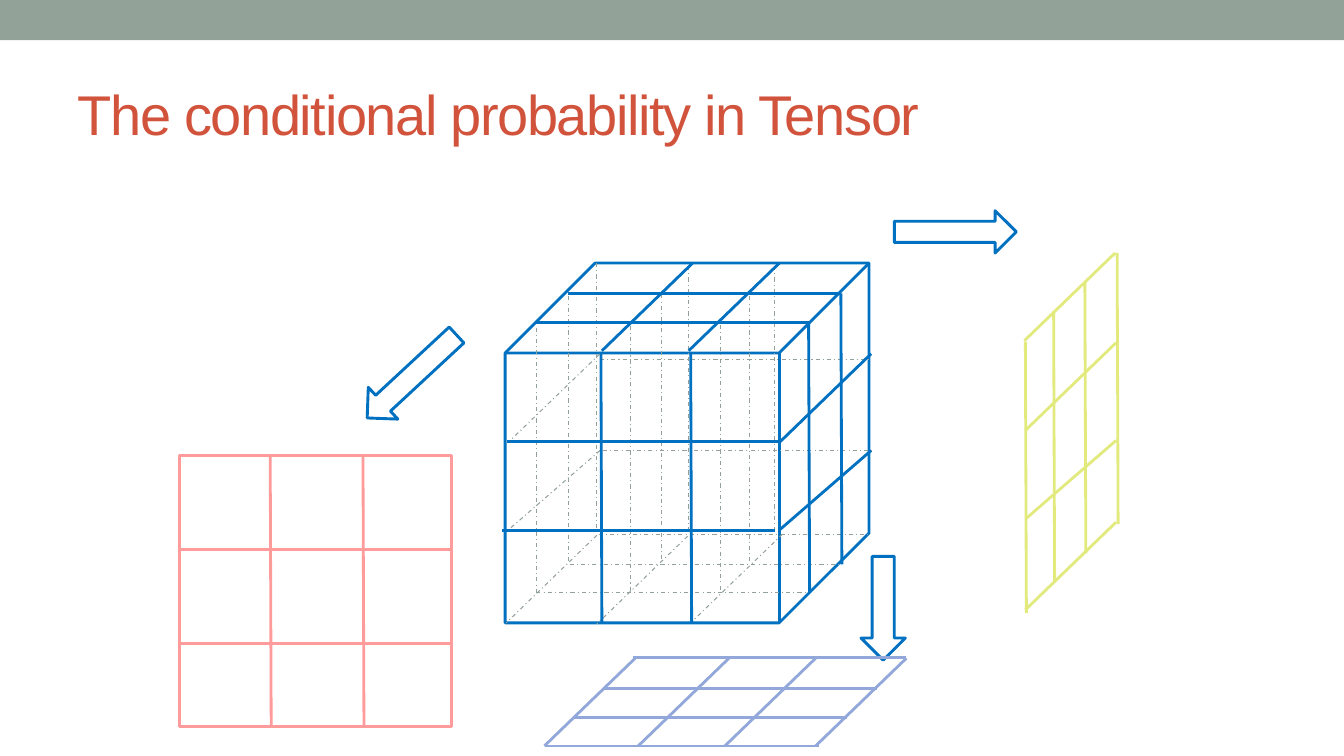
from dataclasses import dataclass

import pptx
import pptx.dml.color
import pptx.enum.dml
import pptx.enum.shapes
import pptx.enum.text
import pptx.oxml.ns
import pptx.util
from lxml import etree

Inches = pptx.util.Inches
Pt = pptx.util.Pt
SHAPE = pptx.enum.shapes.MSO_SHAPE

BLUE, GREY, PINK = "0070C0", "93A299", "FF9B9B"
YELLOW, LAVENDER, RED = "E2EA7E", "92A8DA", "D2533C"

# Run vectors shared by the edges of the cube and its projections
ACROSS = (2.71, 0)
DOWN = (0.01, 2.69)
SLANT = (-0.9, 0.87)
FLAT_SLANT = (-0.9, 0.78)
HIDDEN_ACROSS = (2.67, 0)
HIDDEN_DOWN = (0, 2.66)


@dataclass
class Outline:
    kind: int
    left: float
    top: float
    width: float
    height: float
    color: str
    weight: float = 2.08
    rotation: float = 0


@dataclass
class ParallelLines:
    color: str
    run: tuple[float, float]
    starts: list[tuple[float, float]]
    hidden: bool = False


OUTLINES = [
    Outline(SHAPE.CUBE, 5.01, 2.61, 3.61, 3.57, BLUE, 2),
    Outline(SHAPE.RECTANGLE, 1.78, 4.52, 2.7, 2.69, PINK),
    Outline(SHAPE.DOWN_ARROW, 3.87, 3.13, 0.43, 1.21, BLUE, rotation=47.1),
    Outline(SHAPE.RIGHT_ARROW, 8.87, 2.09, 1.21, 0.42, BLUE),
    Outline(SHAPE.DOWN_ARROW, 8.54, 5.52, 0.44, 1.03, BLUE),
]

LINES = [
    # Hidden edges of the cube
    ParallelLines(GREY, HIDDEN_DOWN, [
        (5.92, 2.61), (6.83, 2.64), (7.68, 2.64),
        (5.64, 2.94), (6.56, 2.92), (7.43, 2.94),
        (5.32, 3.25), (6.25, 3.23), (7.15, 3.22)], True),
    ParallelLines(GREY, HIDDEN_ACROSS, [
        (5.95, 3.57), (5.98, 4.47), (5.94, 5.3), (5.65, 5.6), (5.32, 5.88)], True),
    ParallelLines(GREY, SLANT, [
        (5.95, 3.51), (5.92, 5.31), (6.82, 5.32), (7.76, 5.3)], True),
    ParallelLines(GREY, FLAT_SLANT, [(5.95, 4.47)], True),
    # Visible grid of the cube
    ParallelLines(BLUE, DOWN, [(5.96, 3.49), (6.85, 3.49), (8.02, 3.19), (8.34, 2.91)]),
    ParallelLines(BLUE, ACROSS, [(5.63, 2.91), (5.32, 3.2), (5.03, 4.38), (4.98, 5.26)]),
    ParallelLines(BLUE, SLANT, [(6.87, 2.61), (7.73, 2.61), (8.64, 3.51)]),
    ParallelLines(BLUE, FLAT_SLANT, [(8.64, 4.47)]),
    # Front projection
    ParallelLines(PINK, ACROSS, [(1.77, 5.45), (1.77, 6.38)]),
    ParallelLines(PINK, DOWN, [(2.68, 4.52), (3.6, 4.52)]),
    # Side projection
    ParallelLines(YELLOW, DOWN, [(10.17, 3.39), (10.45, 3.09), (10.76, 2.8), (11.08, 2.51)]),
    ParallelLines(YELLOW, SLANT, [(11.06, 2.51), (11.07, 3.4), (11.07, 5.18)]),
    ParallelLines(YELLOW, FLAT_SLANT, [(11.07, 4.37)]),
    # Bottom projection
    ParallelLines(LAVENDER, SLANT, [(x, 6.53) for x in (6.3, 7.23, 8.09, 8.99)]),
    ParallelLines(LAVENDER, ACROSS, [(6.28, 6.52), (5.99, 6.83), (5.69, 7.12), (5.41, 7.4)]),
]


def rgb(color: str) -> pptx.dml.color.RGBColor:
    return pptx.dml.color.RGBColor.from_string(color)


def draw_outline(s: pptx.slide.Slide, item: Outline) -> None:
    sp = s.shapes.add_shape(item.kind, Inches(item.left), Inches(item.top),
                            Inches(item.width), Inches(item.height))
    sp.rotation = item.rotation
    sp.shadow.inherit = False
    sp.fill.background()
    sp.line.color.rgb = rgb(item.color)
    sp.line.width = Pt(item.weight)


def draw_lines(s: pptx.slide.Slide, family: ParallelLines) -> None:
    dx, dy = family.run
    for x, y in family.starts:
        line = s.shapes.add_connector(
            pptx.enum.shapes.MSO_CONNECTOR.STRAIGHT,
            Inches(x), Inches(y), Inches(x + dx), Inches(y + dy))
        line.line.color.rgb = rgb(family.color)
        line.line.width = Pt(0.75 if family.hidden else 2)
        if family.hidden:
            line.line.dash_style = pptx.enum.dml.MSO_LINE.DASH_DOT
        etree.SubElement(line._element.spPr, pptx.oxml.ns.qn("a:effectLst"))


def draw_header(s: pptx.slide.Slide) -> None:
    band = s.shapes.add_shape(SHAPE.RECTANGLE, 0, 0, Inches(13.33), Inches(0.4))
    band.shadow.inherit = False
    band.fill.solid()
    band.fill.fore_color.rgb = rgb(GREY)
    band.line.fill.background()

    title = s.shapes.title
    title.left, title.top = Inches(0.67), Inches(0.58)
    title.width, title.height = Inches(12), Inches(1.08)
    tf = title.text_frame
    tf.auto_size = pptx.enum.text.MSO_AUTO_SIZE.NONE
    tf.vertical_anchor = pptx.enum.text.MSO_ANCHOR.MIDDLE
    p = tf.paragraphs[0]
    p.alignment = pptx.enum.text.PP_ALIGN.LEFT
    r = p.add_run()
    r.text = "The conditional probability in Tensor"
    r.font.name = "Arial"
    r.font.size = Pt(40)
    r.font.color.rgb = rgb(RED)
    r._r.get_or_add_rPr().set("spc", "-100")


def main() -> None:
    prs = pptx.Presentation()
    prs.slide_width, prs.slide_height = Inches(13.33), Inches(7.5)
    s = prs.slides.add_slide(prs.slide_layouts[5])
    draw_header(s)
    for item in OUTLINES:
        draw_outline(s, item)
    for family in LINES:
        draw_lines(s, family)
    prs.save("out.pptx")


if __name__ == "__main__":
    main()
